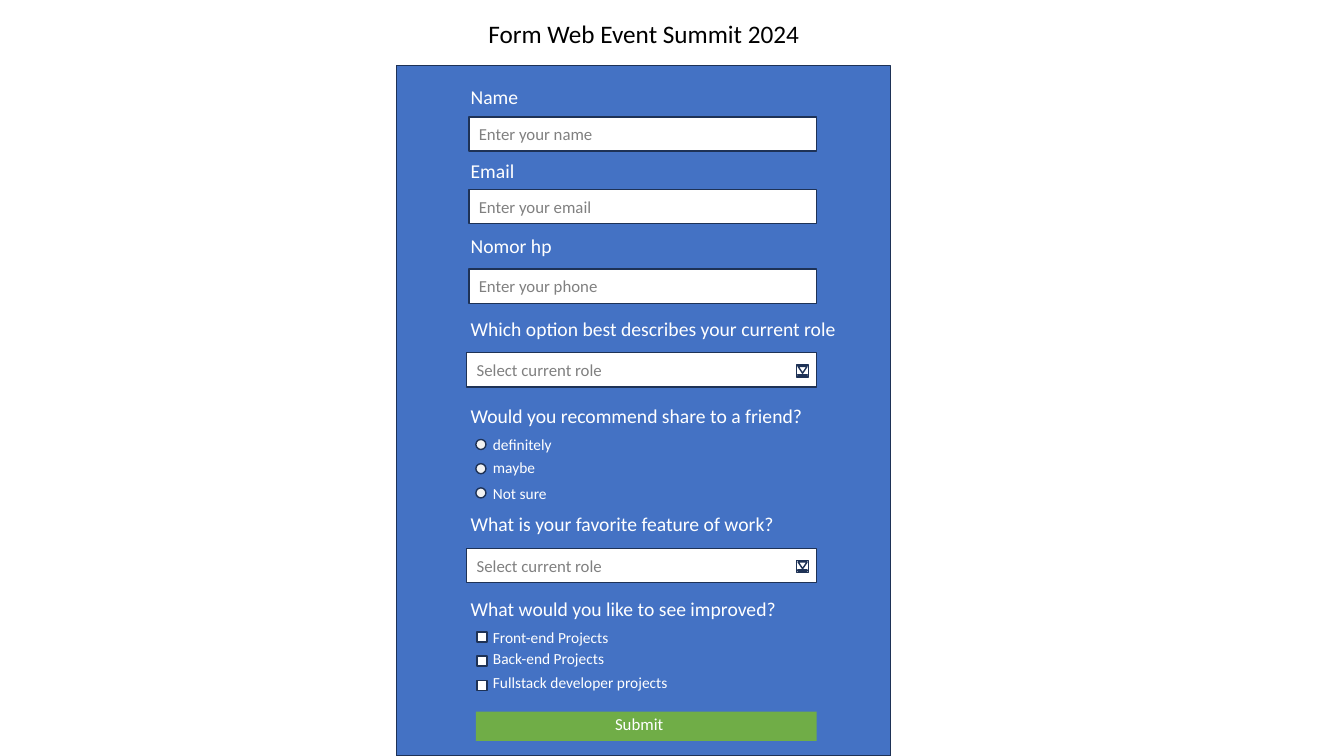
from pptx import Presentation
from pptx.dml.color import RGBColor
from pptx.enum.shapes import MSO_SHAPE
from pptx.enum.text import MSO_ANCHOR, MSO_AUTO_SIZE, PP_ALIGN
from pptx.util import Pt

PX = 9144  # 100 px to the inch
COLORS = {
    "panel": "4472C4", "outline": "1E3256", "field": "FFFFFF", "radio": "F2F2F2",
    "button": "70AD47", "title": "000000", "label": "FFFFFF", "hint": "808080",
}

prs = Presentation()
prs.slide_width, prs.slide_height = 1333 * PX, 750 * PX
slide = prs.slides.add_slide(prs.slide_layouts[5])


def add_text(text, box=None, shape=None, size=14, color="label", align=PP_ALIGN.LEFT,
             anchor=MSO_ANCHOR.TOP, left=10, bottom=5):
    """Write text into a shape, or into a new text box at box."""
    if shape is None:
        shape = slide.shapes.add_textbox(*(n * PX for n in box))
    frame = shape.text_frame
    frame.word_wrap = True
    frame.auto_size = MSO_AUTO_SIZE.NONE
    frame.vertical_anchor = anchor
    frame.margin_left, frame.margin_right = left * PX, 10 * PX
    frame.margin_top, frame.margin_bottom = 5 * PX, bottom * PX
    paragraph = frame.paragraphs[0]
    paragraph.alignment = align
    run = paragraph.add_run()
    run.text = text
    run.font.name = "Calibri"
    run.font.size = Pt(size)
    run.font.color.rgb = RGBColor.from_string(COLORS[color])


def add_part(box, fill=None, kind=MSO_SHAPE.RECTANGLE, outlined=True):
    """Draw a preset shape of the form."""
    part = slide.shapes.add_shape(kind, *(n * PX for n in box))
    part.shadow.inherit = False
    if fill:
        part.fill.solid()
        part.fill.fore_color.rgb = RGBColor.from_string(COLORS[fill])
    else:
        part.fill.background()
    if outlined:
        part.line.color.rgb = RGBColor.from_string(COLORS["outline"])
        part.line.width = Pt(1)
    else:
        part.line.fill.background()
    return part


# Title
title = slide.shapes.title
title.left, title.top, title.width, title.height = (n * PX for n in (421, 13, 435, 40))
add_text("Form Web Event Summit 2024", shape=title, size=18, color="title",
         align=PP_ALIGN.CENTER)

# Form panel
add_part((393, 65, 490, 685), "panel")

# Questions
questions = [
    ("Name", 79),
    ("Email", 153),
    ("Nomor hp", 227),
    ("Which option best describes your current role", 309),
    ("Would you recommend share to a friend?", 396),
    ("What is your favorite feature of work?", 503),
    ("What would you like to see improved?", 587),
]
for question, top in questions:
    add_text(question, box=(457, top, 426, 34))

# Input fields and drop-down lists
fields = [
    ("Enter your name", 116, False),
    ("Enter your email", 188, False),
    ("Enter your phone", 267, False),
    ("Select current role", 350, True),
    ("Select current role", 544, True),
]
for hint, top, dropdown in fields:
    left = 463 if dropdown else 465
    field = add_part((left, top, 810 - left, 34), "field")
    add_text(hint, shape=field, size=12, color="hint", anchor=MSO_ANCHOR.MIDDLE)
    if dropdown:
        arrow = add_part((790, top + 12, 12, 12), kind=MSO_SHAPE.ACTION_BUTTON_END)
        arrow.rotation = 90

# Radio buttons
for row, (answer, top) in enumerate([("definitely", 427), ("maybe", 450), ("Not sure", 475)]):
    add_part((472, 436 + 24 * row, 10, 10), "radio", MSO_SHAPE.FLOWCHART_CONNECTOR)
    add_text(answer, box=(479, top, 185, 29), size=11)

# Check boxes
improvements = [
    ("Front-end Projects", 618),
    ("Back-end Projects", 639),
    ("Fullstack developer projects", 663),
]
for row, (improvement, top) in enumerate(improvements):
    add_part((473, 627 + 24 * row, 10, 10), "field")
    add_text(improvement, box=(479, top, 228, 29), size=11)

# Submit button
submit = add_part((472, 706, 338, 29), "button", outlined=False)
add_text("Submit", shape=submit, size=12, anchor=MSO_ANCHOR.MIDDLE, left=138, bottom=10)

prs.save("out.pptx")
